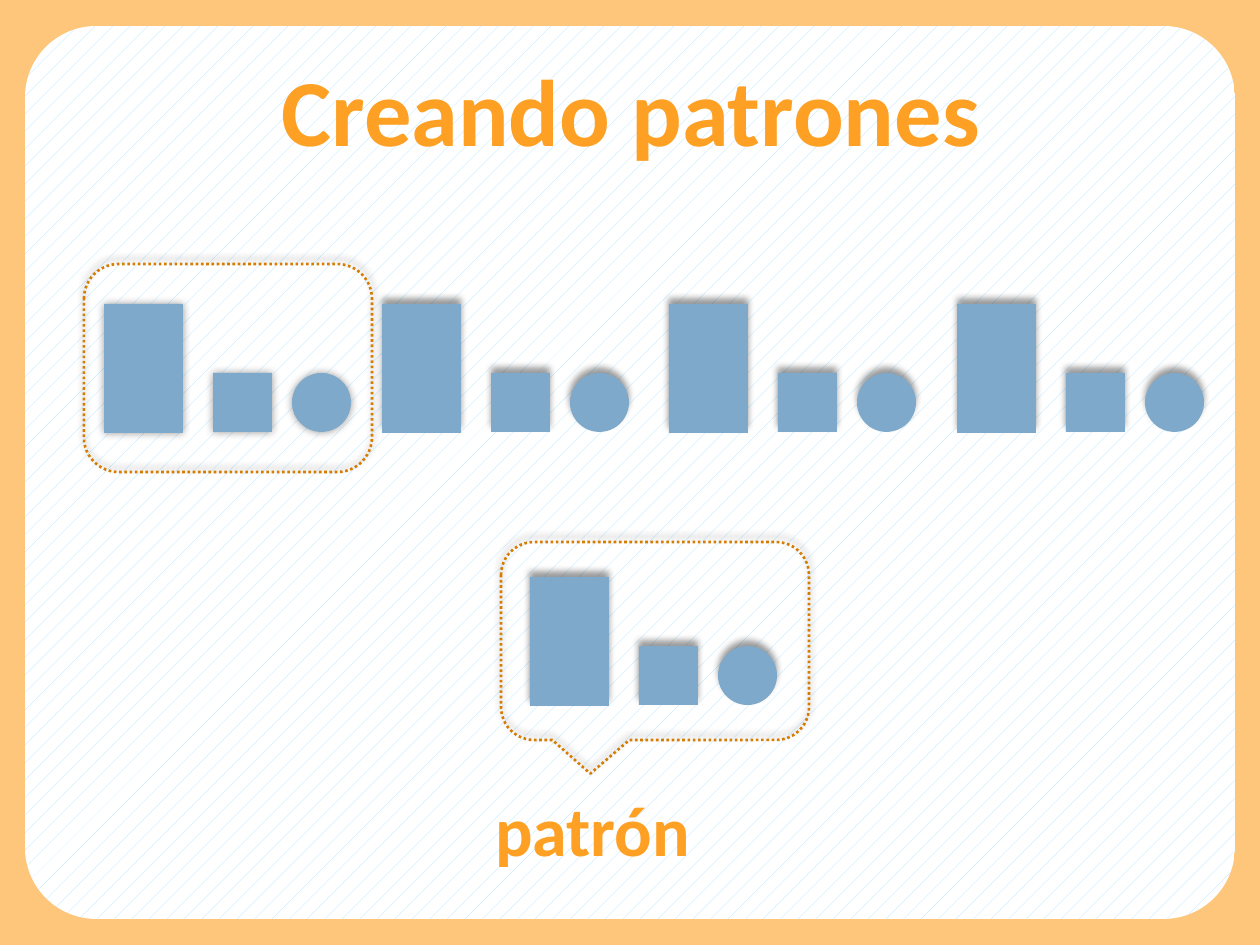
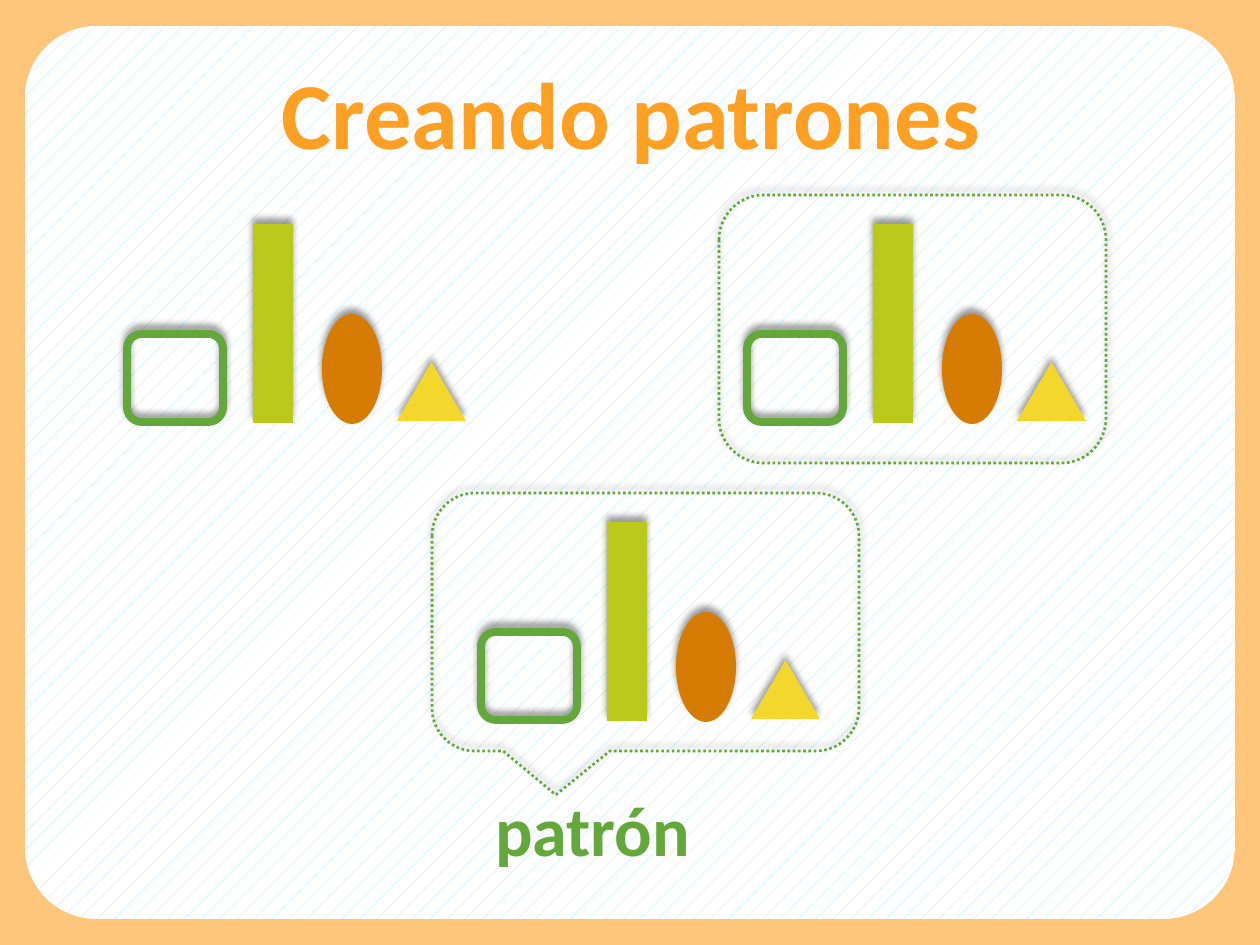
"""Two slides about building patterns from repeated shapes."""
from lxml.etree import SubElement
from pptx import Presentation
from pptx.dml.color import RGBColor
from pptx.enum.dml import MSO_LINE, MSO_PATTERN
from pptx.enum.shapes import MSO_SHAPE
from pptx.enum.text import MSO_AUTO_SIZE, PP_ALIGN
from pptx.oxml.ns import qn
from pptx.util import Emu, Pt

PX = 914400 / 126
COLORS = {
    "border": "FEC67B", "panel": "FFFFFF", "hatch": "ABE3FF", "title": "FDA023",
    "blue": "7EA9CA", "orange": "D67C02", "green": "64A73B",
    "lime": "B9CA1A", "yellow": "F4D72C", "shadow": "000000",
}
RGB = {name: RGBColor.from_string(value) for name, value in COLORS.items()}
GLOW = (5, 0)
RAISED = (4, 3)


def add_figure(page, kind, box, fill=None, line=None, width=1.5, dash=None, shadow=None):
    figure = page.shapes.add_shape(kind, *(Emu(round(n * PX)) for n in box))
    if fill:
        figure.fill.solid()
        figure.fill.fore_color.rgb = RGB[fill]
    else:
        figure.fill.background()
    if line:
        figure.line.color.rgb = RGB[line]
        figure.line.width = Pt(width)
        if dash:
            figure.line.dash_style = dash
    else:
        figure.line.fill.background()
    figure.shadow.inherit = False
    if shadow:
        blur, distance = shadow
        effects = figure.element.spPr.find(qn("a:effectLst"))
        outer = SubElement(effects, qn("a:outerShdw"), blurRad=str(Pt(blur)),
                           dist=str(Pt(distance)), dir=str(270 * 60000), rotWithShape="0")
        tint = SubElement(outer, qn("a:srgbClr"), val=COLORS["shadow"])
        SubElement(tint, qn("a:alpha"), val="40000")
    return figure


def write_heading(shape, box, text, size, color):
    shape.left, shape.top, shape.width, shape.height = (Emu(round(n * PX)) for n in box)
    frame = shape.text_frame
    frame.word_wrap = False
    frame.auto_size = MSO_AUTO_SIZE.SHAPE_TO_FIT_TEXT
    para = frame.paragraphs[0]
    para.text = text
    para.alignment = PP_ALIGN.CENTER
    para.font.name = "Calibri"
    para.font.size = Pt(size)
    para.font.bold = True
    para.font.color.rgb = RGB[color]


blue_pattern = [
    (MSO_SHAPE.RECTANGLE, (0, 0, 79, 129), {"fill": "blue"}),
    (MSO_SHAPE.RECTANGLE, (109, 69, 59, 59), {"fill": "blue"}),
    (MSO_SHAPE.OVAL, (188, 69, 59, 59), {"fill": "blue"}),
]
mixed_pattern = [
    (MSO_SHAPE.RECTANGLE, (126, 0, 40, 199), {"fill": "lime"}),
    (MSO_SHAPE.OVAL, (195, 90, 60, 110), {"fill": "orange"}),
    (MSO_SHAPE.ISOSCELES_TRIANGLE, (270, 138, 69, 59), {"fill": "yellow"}),
    (MSO_SHAPE.ROUNDED_RECTANGLE, (0, 110, 96, 88), {"line": "green", "width": 4.5}),
]
slides = [
    {
        "title_top": 45, "label_color": "title", "outline": "orange",
        "frame": (84, 264, 288, 208), "callout": (501, 542, 308, 198),
        "pattern": blue_pattern,
        "places": [(104, 304, GLOW), (382, 304, RAISED), (669, 304, RAISED),
                   (957, 304, RAISED), (530, 577, RAISED)],
    },
    {
        "title_top": 48, "label_color": "green", "outline": "green",
        "frame": (719, 195, 387, 268), "callout": (432, 493, 427, 258),
        "pattern": mixed_pattern,
        "places": [(127, 224, RAISED), (747, 224, RAISED), (481, 522, RAISED)],
    },
]

deck = Presentation()
deck.slide_width = Emu(round(1260 * PX))
deck.slide_height = Emu(round(945 * PX))

for content in slides:
    page = deck.slides.add_slide(deck.slide_layouts[5])
    add_figure(page, MSO_SHAPE.RECTANGLE, (0, 0, 1260, 945), fill="border")
    panel = add_figure(page, MSO_SHAPE.ROUNDED_RECTANGLE, (25, 26, 1210, 893))
    panel.adjustments[0] = 0.08
    panel.fill.patterned()
    panel.fill.pattern = MSO_PATTERN.PERCENT_5
    panel.fill.fore_color.rgb = RGB["hatch"]
    panel.fill.back_color.rgb = RGB["panel"]

    title = page.shapes.title
    panel.element.addnext(title.element)
    write_heading(title, (266, content["title_top"], 730, 127), "Creando patrones", 54, "title")
    label = page.shapes.add_textbox(0, 0, 0, 0)
    write_heading(label, (481, 780, 223, 97), "patrón", 40, content["label_color"])

    dotted = {"line": content["outline"], "dash": MSO_LINE.ROUND_DOT, "shadow": RAISED}
    add_figure(page, MSO_SHAPE.ROUNDED_RECTANGLE, content["frame"], **dotted)
    callout = add_figure(page, MSO_SHAPE.ROUNDED_RECTANGULAR_CALLOUT, content["callout"], **dotted)
    callout.adjustments[0] = -0.21
    callout.adjustments[1] = 0.67

    for left, top, shadow in content["places"]:
        for kind, (x, y, width, height), style in content["pattern"]:
            add_figure(page, kind, (left + x, top + y, width, height), shadow=shadow, **style)

deck.save("out.pptx")
